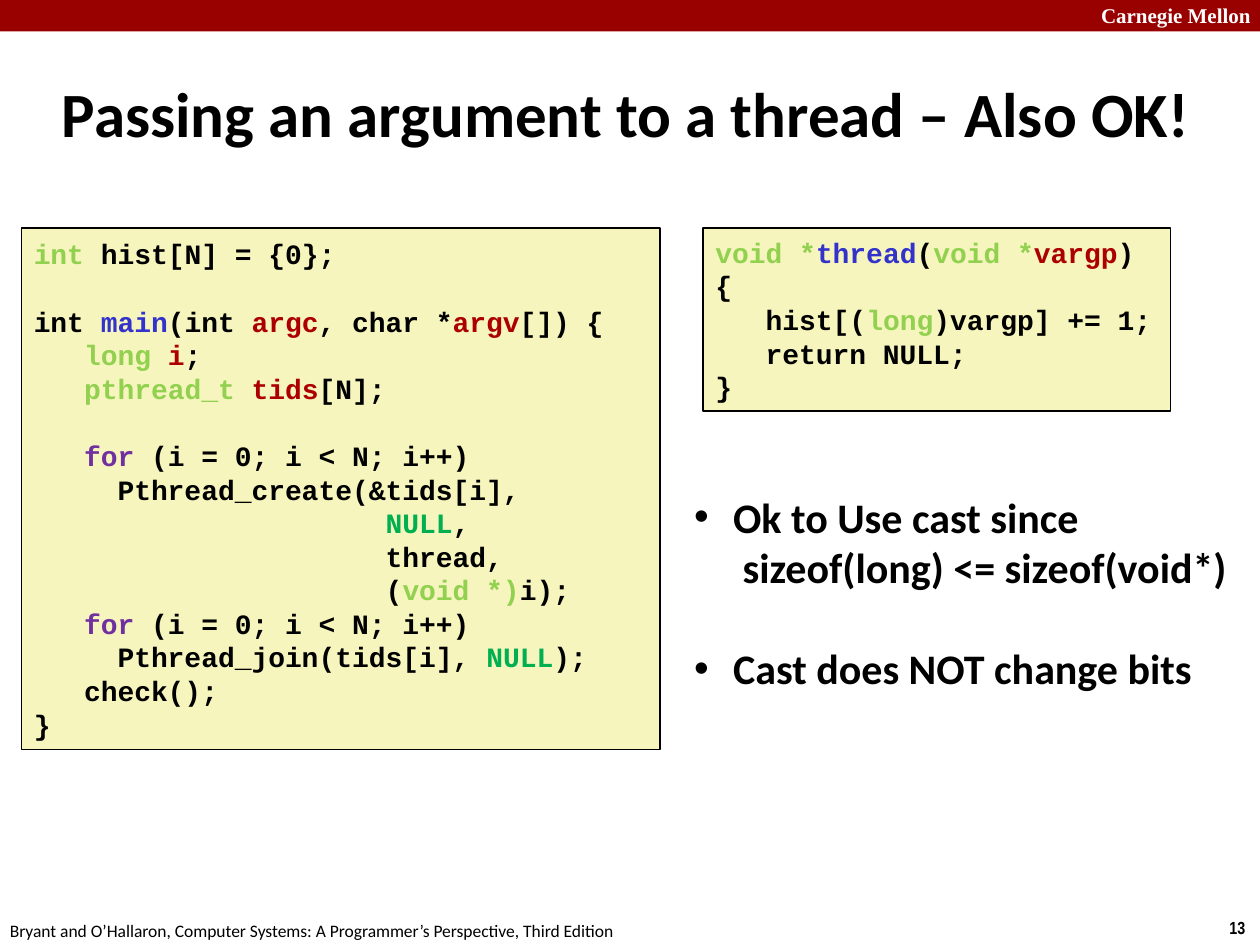
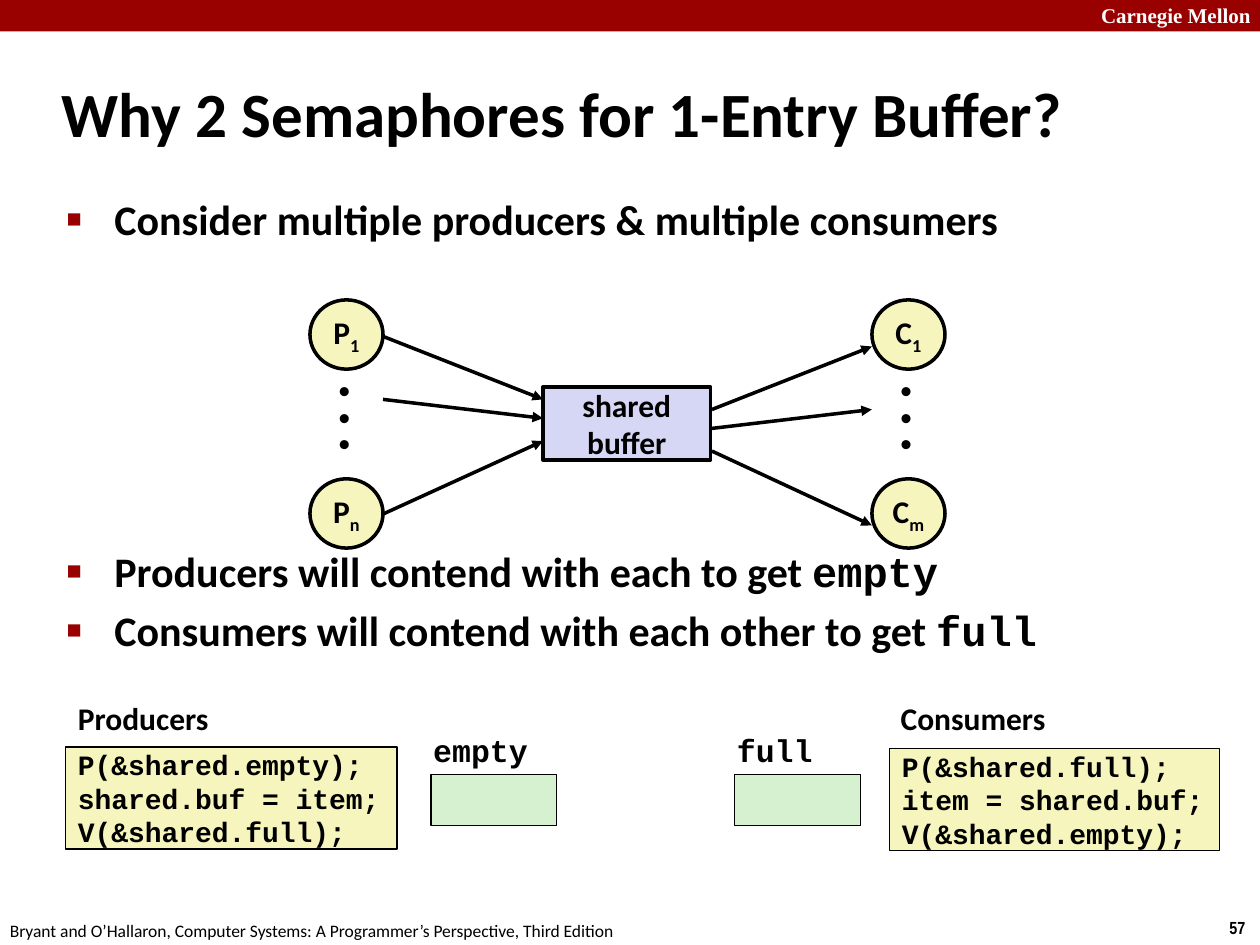
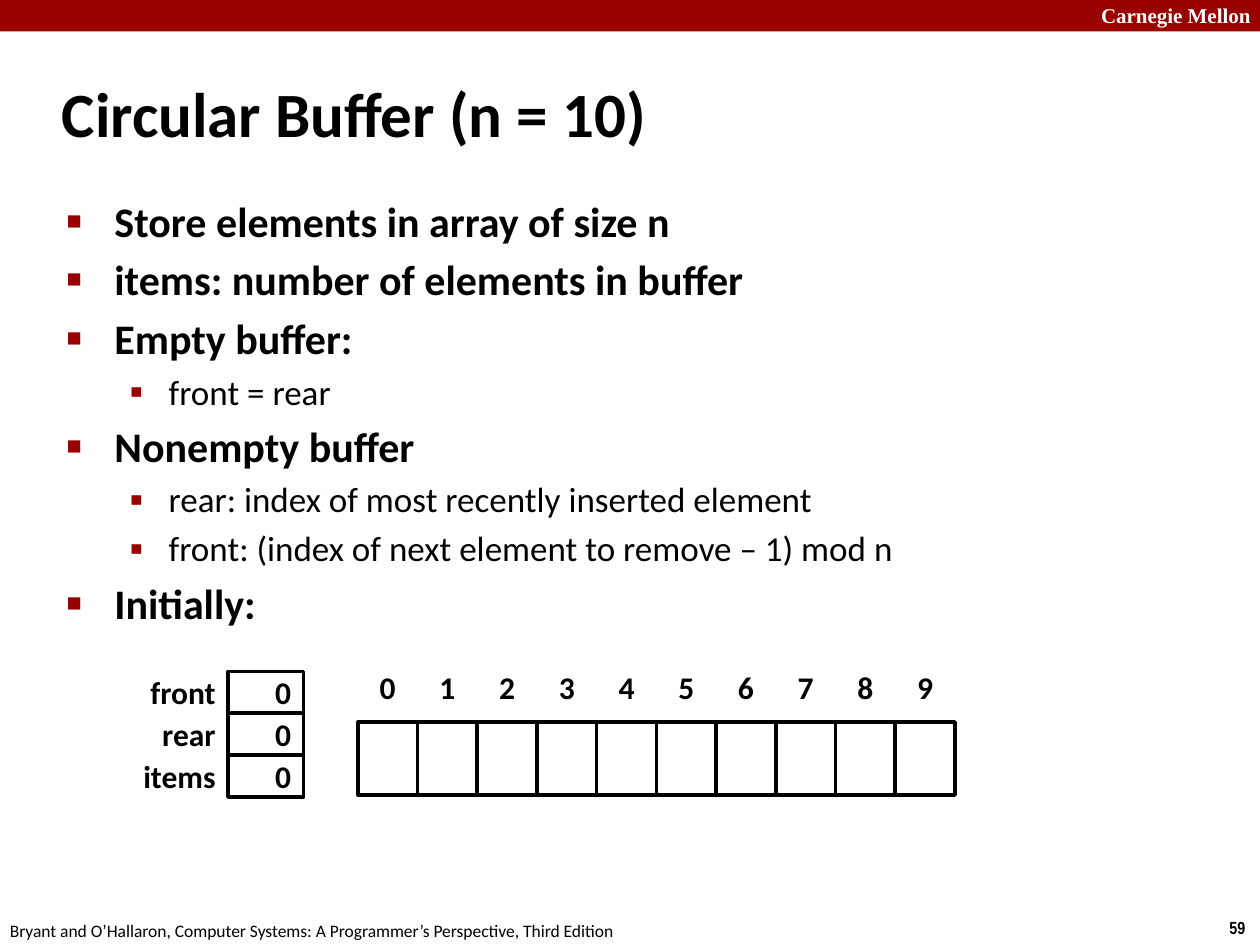
from lxml import etree
from pptx import Presentation
from pptx.dml import color as dml
from pptx.enum import shapes, text
from pptx.oxml import ns
from pptx.util import Inches, Pt

# Shared style
BLACK, WHITE, RED = "000000", "FFFFFF", "990000"
CODE_FILL, BUFFER_FILL, SEMAPHORE_FILL = "F6F5BD", "D6D6F5", "D5F1CF"
BODY, MONO = "Calibri", "Courier New"
LEFT, CENTER, RIGHT = text.PP_ALIGN.LEFT, text.PP_ALIGN.CENTER, text.PP_ALIGN.RIGHT
TOP, MIDDLE = text.MSO_ANCHOR.TOP, text.MSO_ANCHOR.MIDDLE
RECT, OVAL = shapes.MSO_SHAPE.RECTANGLE, shapes.MSO_SHAPE.OVAL
FOOTER = "Bryant and O’Hallaron, Computer Systems: A Programmer’s Perspective, Third Edition"

# Run styles: syntax colours, inline code and subscripts
TYPE, NAME, VAR = {"color": "92D050"}, {"color": "3333CC"}, {"color": "AC0000"}
KEYWORD, NULL = {"color": "7030A0"}, {"color": "00B050"}
INLINE_CODE, SUBSCRIPT = {"font": MONO}, {"baseline": -25000}

# Bullet styles: character, left indent, hanging indent, colour, size in percent
DOT = ("•", 0.31, 0.31, BLACK, 100)
SQUARE = ("■", 0.38, 0.38, RED, 60)
SMALL_SQUARE = ("▪", 0.81, 0.31, RED, 110)


def rgb(value):
    return dml.RGBColor.from_string(value)


def add_xml(parent, tag, **attributes):
    child = etree.SubElement(parent, ns.qn(tag))
    for key, value in attributes.items():
        child.set(key, str(value))
    return child


def set_pieces(paragraph, line, size, font=BODY, color=BLACK, bold=True):
    """Fill a paragraph with a string or a list of plain or (text, style) pieces."""
    for piece in [line] if isinstance(line, str) else line:
        words, style = (piece, {}) if isinstance(piece, str) else piece
        known = len(paragraph.runs)
        if known:
            paragraph.add_run().text = words
        else:
            paragraph.text = words
        for run in paragraph.runs[known:]:
            run.font.size, run.font.bold = Pt(size), bold
            run.font.name = style.get("font", font)
            run.font.color.rgb = rgb(style.get("color", color))
            if "baseline" in style:
                run.font._element.set("baseline", str(style["baseline"]))


class Deck:
    def __init__(self):
        self.prs = Presentation()
        self.prs.slide_width, self.prs.slide_height = Inches(10), Inches(7.5)
        self.slide = None

    def new_slide(self, title, number, title_width):
        self.slide = self.prs.slides.add_slide(self.prs.slide_layouts[5])
        self.box(0, 0, 10, 0.25, fill=RED)
        self.label(8.64, -0.03, 1.43, 0.3, ["Carnegie Mellon"], size=12,
                   font="Times New Roman", color=WHITE)
        self.label(9.66, 7.23, 0.34, 0.27, [str(number)], size=10, font="Arial Narrow")
        self.label(-0.02, 7.25, 5.08, 0.27, [FOOTER], size=10, bold=False)
        heading = self.slide.shapes.title
        heading.left, heading.top = Inches(0.39), Inches(0.48)
        heading.width, heading.height = Inches(title_width), Inches(0.83)
        self.frame(heading, anchor=MIDDLE, wrap=True)
        self.put_lines(heading, [title], size=36)

    def frame(self, shape, anchor, wrap, inset=0.05):
        frame = shape.text_frame
        frame.auto_size = text.MSO_AUTO_SIZE.NONE
        frame.word_wrap = wrap
        frame.vertical_anchor = anchor
        frame.margin_left = frame.margin_right = Inches(0.1)
        frame.margin_top = frame.margin_bottom = Inches(inset)

    def put_lines(self, shape, lines, size=18, align=LEFT, spacing=None, **style):
        """Add one paragraph a line; an empty line becomes space before the next."""
        frame = shape.text_frame
        gap, started = 0, False
        for line in lines:
            if not line:
                gap += 1.2 * size
                continue
            paragraph = frame.add_paragraph() if started else frame.paragraphs[0]
            started = True
            paragraph.alignment = align
            if spacing:
                paragraph.line_spacing = spacing
            if gap:
                paragraph.space_before = Pt(gap)
                gap = 0
            set_pieces(paragraph, line, size, **style)

    def box(self, x, y, w, h, lines=(), kind=RECT, fill=None, line=None, wrap=False,
            inset=0, **style):
        shape = self.slide.shapes.add_shape(kind, Inches(x), Inches(y), Inches(w), Inches(h))
        shape.shadow.inherit = False
        if fill:
            shape.fill.solid()
            shape.fill.fore_color.rgb = rgb(fill)
        else:
            shape.fill.background()
        if line:
            shape.line.color.rgb = rgb(BLACK)
            shape.line.width = Pt(line)
        else:
            shape.line.fill.background()
        self.frame(shape, MIDDLE, wrap, inset)
        self.put_lines(shape, lines, **style)

    def code(self, x, y, w, h, lines, inset=0.05):
        self.box(x, y, w, h, lines, fill=CODE_FILL, line=1, wrap=True, inset=inset,
                 size=16, font=MONO)

    def label(self, x, y, w, h, lines, anchor=TOP, wrap=False, inset=0.05, **style):
        shape = self.slide.shapes.add_textbox(Inches(x), Inches(y), Inches(w), Inches(h))
        self.frame(shape, anchor, wrap, inset)
        self.put_lines(shape, lines, **style)
        return shape

    def bullets(self, x, y, w, h, items, mark=SQUARE, gap=4.8):
        """List of items; an item given as a tuple holds second-level lines."""
        frame = self.label(x, y, w, h, [], wrap=True).text_frame
        flat = []
        for item in items:
            if isinstance(item, tuple):
                flat += [(sub, SMALL_SQUARE) for sub in item]
            else:
                flat.append((item, mark))
        for index, (item, style) in enumerate(flat):
            paragraph = frame.add_paragraph() if index else frame.paragraphs[0]
            second = style is SMALL_SQUARE
            char, indent, hanging, color, percent = style
            props = paragraph._p.get_or_add_pPr()
            props.set("marL", str(Inches(indent)))
            props.set("indent", str(-Inches(hanging)))
            add_xml(add_xml(props, "a:buClr"), "a:srgbClr", val=color)
            add_xml(props, "a:buSzPct", val=percent * 1000)
            add_xml(props, "a:buFont", typeface="Arial")
            add_xml(props, "a:buChar", char=char)
            paragraph.level = int(second)
            if index:
                paragraph.space_before = Pt(4 if second else gap)
            set_pieces(paragraph, item, 20 if second else 24, bold=not second)

    def arrow(self, x1, y1, x2, y2):
        connector = self.slide.shapes.add_connector(
            shapes.MSO_CONNECTOR.STRAIGHT, Inches(x1), Inches(y1), Inches(x2), Inches(y2))
        connector.line.color.rgb = rgb(BLACK)
        connector.line.width = Pt(2)
        props = connector._element.spPr
        add_xml(props.get_or_add_ln(), "a:tailEnd", type="triangle")
        add_xml(props, "a:effectLst")


def argument_slide(deck):
    deck.new_slide("Passing an argument to a thread – Also OK!", 13, 9.48)
    loop = ["   ", ("for", KEYWORD), " (i = 0; i < N; i++)"]
    argument = " " * 21
    deck.code(0.17, 1.81, 5.07, 4.14, [
        [("int ", TYPE), "hist[N] = {0};"],
        "",
        ["int ", ("main", NAME), "(int ", ("argc", VAR), ", char *", ("argv", VAR), "[]) {"],
        ["   ", ("long ", TYPE), ("i", VAR), ";"],
        ["   ", ("pthread_t ", TYPE), ("tids", VAR), "[N];"],
        "",
        loop,
        "     Pthread_create(&tids[i],",
        [argument, ("NULL", NULL), ","],
        argument + "thread,",
        [argument + "(", ("void *)", TYPE), "i);"],
        loop,
        ["     Pthread_join(tids[i], ", ("NULL", NULL), ");"],
        "   check();",
        "}",
    ])
    deck.code(5.58, 1.81, 3.71, 1.45, [
        [("void *", TYPE), ("thread", NAME), "(", ("void *", TYPE), ("vargp", VAR), ")"],
        "{",
        ["   hist[(", ("long", TYPE), ")vargp] += 1;"],
        "   return NULL;",
        "}",
    ])
    deck.bullets(5.41, 3.85, 4.59, 1.72, [
        "Ok to Use cast since\v sizeof(long) <= sizeof(void*)",
        "Cast does NOT change bits",
    ], mark=DOT, gap=29)


def semaphore_slide(deck):
    deck.new_slide("Why 2 Semaphores for 1-Entry Buffer?", 57, 8.3)
    deck.bullets(0.43, 1.49, 8.64, 0.6, ["Consider multiple producers & multiple consumers"])
    deck.bullets(0.43, 4.28, 8.64, 1.1, [
        ["Producers will contend with each to get ", ("empty", INLINE_CODE)],
        ["Consumers will contend with each other to get ", ("full", INLINE_CODE)],
    ])

    # Producers, shared buffer, consumers
    deck.box(4.31, 3.07, 1.33, 0.58, ["shared", "buffer"], fill=BUFFER_FILL, line=2,
             align=CENTER)
    for x, letter, last in ((2.46, "P", "n"), (6.92, "C", "m")):
        for y, index in ((2.38, "1"), (3.8, last)):
            deck.box(x, y, 0.58, 0.55, [[letter, (index, SUBSCRIPT)]], kind=OVAL,
                     fill=CODE_FILL, line=2, align=CENTER)
        deck.label(x + 0.13, 2.98, 0.32, 0.75, ["•"] * 3, font="Arial", spacing=0.7)
    for producer_y, buffer_y in ((2.67, 3.17), (3.17, 3.32), (4.08, 3.5)):
        deck.arrow(3.04, producer_y, 4.31, buffer_y)
    for buffer_y, consumer_y in ((3.25, 2.75), (3.4, 3.25), (3.58, 4.17)):
        deck.arrow(5.65, buffer_y, 6.92, consumer_y)

    # Code of each side
    deck.label(0.52, 5.5, 1.26, 0.4, ["Producers"])
    deck.code(0.52, 5.93, 2.63, 0.81,
              ["P(&shared.empty);", "shared.buf = item;", "V(&shared.full);"], inset=0)
    deck.label(7.05, 5.5, 1.37, 0.4, ["Consumers"])
    deck.code(7.06, 5.94, 2.62, 0.81,
              ["P(&shared.full);", "item = shared.buf;", "V(&shared.empty);"], inset=0)

    # Semaphores
    for x, name, width in ((3.42, "empty", 0.96), (5.83, "full", 0.81)):
        deck.box(x, 6.15, 1, 0.4, fill=SEMAPHORE_FILL, line=0.75)
        deck.label(x - 0.08, 5.75, width, 0.4, [name], font=MONO)


def circular_slide(deck):
    deck.new_slide("Circular Buffer (n = 10)", 59, 9.36)
    deck.bullets(0.43, 1.5, 8.98, 3.7, [
        "Store elements in array of size n",
        "items: number of elements in buffer",
        "Empty buffer:",
        ("front = rear",),
        "Nonempty buffer",
        ("rear: index of most recently inserted element",
         "front: (index of next element to remove – 1) mod n"),
        "Initially:",
    ])

    # Counters
    for row, counter in enumerate(("front", "rear", "items")):
        y = 5.33 + row / 3
        deck.label(0.83, y, 0.98, 0.33, [counter], anchor=MIDDLE, inset=0, align=RIGHT)
        deck.box(1.81, y, 0.6, 0.33, ["0"], line=2, align=RIGHT)

    # Buffer slots
    slots, first, last_edge = 10, 2.84, 7.58
    pitch = (last_edge - first) / slots
    for slot in range(slots):
        x = first + slot * pitch
        deck.box(x, 5.73, pitch, 0.58, line=2)
        deck.label(x, 5.25, pitch, 0.4, [str(slot)], anchor=MIDDLE, inset=0, align=CENTER)


def main():
    deck = Deck()
    argument_slide(deck)
    semaphore_slide(deck)
    circular_slide(deck)
    deck.prs.save("out.pptx")


if __name__ == "__main__":
    main()
